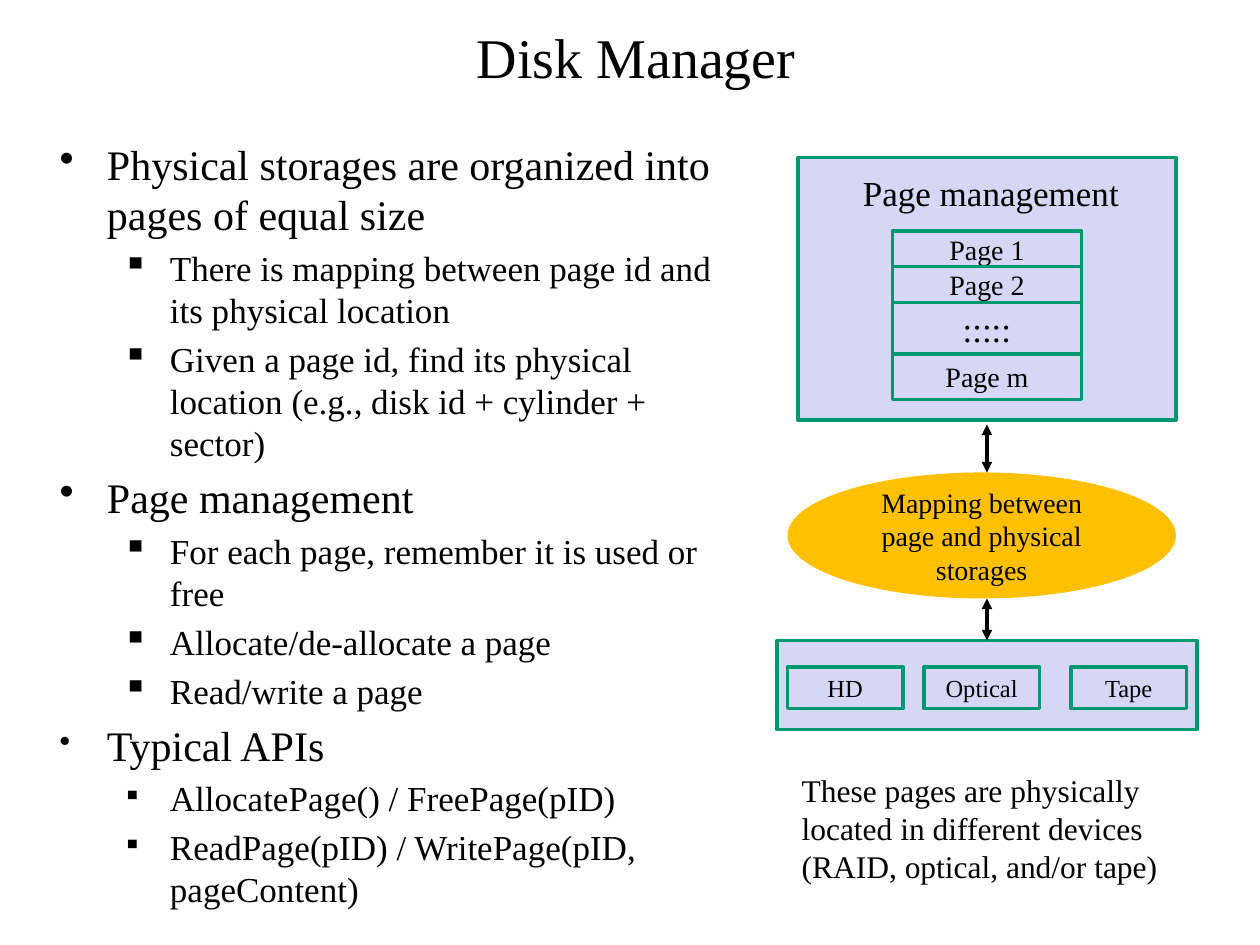
from lxml import etree
from pptx import Presentation
from pptx.dml.color import RGBColor
from pptx.enum.shapes import MSO_CONNECTOR, MSO_SHAPE
from pptx.enum.text import MSO_ANCHOR, MSO_AUTO_SIZE, PP_ALIGN
from pptx.oxml.ns import qn
from pptx.util import Pt

RECTANGLE, OVAL = MSO_SHAPE.RECTANGLE, MSO_SHAPE.OVAL
STRAIGHT = MSO_CONNECTOR.STRAIGHT
TOP, MIDDLE = MSO_ANCHOR.TOP, MSO_ANCHOR.MIDDLE
LEFT, CENTER = PP_ALIGN.LEFT, PP_ALIGN.CENTER
GROW = MSO_AUTO_SIZE.SHAPE_TO_FIT_TEXT

FONT = "Times New Roman"
COLORS = {"ink": "000000", "panel": "D6D6F5", "border": "009771", "mapping": "FFC000"}

OUTLINE = [
    (0, "Physical storages are organized into pages of equal size", 100),
    (1, "There is mapping between page id and its physical location", 100),
    (1, "Given a page id, find its physical location (e.g., disk id + cylinder + sector)", 100),
    (0, "Page management", 100),
    (1, "For each page, remember it is used or free", 100),
    (1, "Allocate/de-allocate a page", 100),
    (1, "Read/write a page", 100),
    (0, "Typical APIs", 75),
    (1, "AllocatePage() / FreePage(pID)", 75),
    (1, "ReadPage(pID) / WritePage(pID, pageContent)", 75),
]
LEVELS = [("•", 24, 27), ("▪", 20, 63)]
HANGING = 27
CAPTION = [
    "These pages are physically",
    "located in different devices",
    "(RAID, optical, and/or tape)",
]
PAGE_ROWS = [("Page 1", 20.4, 16), ("Page 2", 20.4, 16), (":::::", 29.5, 20), ("Page m", 26, 16)]
DEVICES = [("HD", 450), ("Optical", 528), ("Tape", 612)]


def color(name):
    return RGBColor.from_string(COLORS[name])


def add_paragraph(frame, text, size=16, align=LEFT, before=0):
    para = frame.paragraphs[0]
    if para.runs:
        para = frame.add_paragraph()
        para.space_before = Pt(before)
    para.alignment = align
    span = para.add_run()
    span.text = text
    span.font.name = FONT
    span.font.size = Pt(size)
    span.font.color.rgb = color("ink")
    return para


def set_bullet(para, symbol, indent, scale):
    properties = para._p.get_or_add_pPr()
    properties.set("marL", str(Pt(indent)))
    properties.set("indent", str(-Pt(HANGING)))
    if scale != 100:
        etree.SubElement(properties, qn("a:buSzPct"), val=str(scale * 1000))
    etree.SubElement(properties, qn("a:buChar"), char=symbol)


def add_text_box(page, left, top, width, height, anchor=TOP, wrap=True):
    box = page.shapes.add_textbox(Pt(left), Pt(top), Pt(width), Pt(height))
    frame = box.text_frame
    frame.word_wrap = wrap
    frame.vertical_anchor = anchor
    if not wrap:
        frame.auto_size = GROW
    return frame


def add_block(page, left, top, width, height, text="", size=16,
              kind=RECTANGLE, fill="panel", line="border"):
    block = page.shapes.add_shape(kind, Pt(left), Pt(top), Pt(width), Pt(height))
    block.shadow.inherit = False
    if fill:
        block.fill.solid()
        block.fill.fore_color.rgb = color(fill)
    else:
        block.fill.background()
    if line:
        block.line.color.rgb = color(line)
        block.line.width = Pt(2)
    else:
        block.line.fill.background()
    if text:
        frame = block.text_frame
        frame.word_wrap = True
        frame.vertical_anchor = MIDDLE
        add_paragraph(frame, text, size=size, align=CENTER)


def add_double_arrow(page, x, top, bottom):
    arrow = page.shapes.add_connector(STRAIGHT, Pt(x), Pt(top), Pt(x), Pt(bottom))
    arrow.line.color.rgb = color("ink")
    arrow.line.width = Pt(2)
    outline = arrow.line._get_or_add_ln()
    for end in ("a:headEnd", "a:tailEnd"):
        etree.SubElement(outline, qn(end), type="triangle")
    etree.SubElement(arrow._element.spPr, qn("a:effectLst"))


def add_outline(page):
    frame = add_text_box(page, 27, 75.6, 408, 437)
    for level, text, scale in OUTLINE:
        symbol, size, indent = LEVELS[level]
        para = add_paragraph(frame, text, size=size, before=size * 0.2)
        para.level = level
        set_bullet(para, symbol, indent, scale)


def add_diagram(page):
    add_block(page, 444, 366, 240, 51)
    add_block(page, 456, 90, 216, 150)
    top = 132
    for text, height, size in PAGE_ROWS:
        add_block(page, 510, top, 108, height, text, size=size, fill=None)
        top += height
    add_block(page, 450, 270, 222, 72, "Mapping between page and physical storages",
              kind=OVAL, fill="mapping", line=None)
    for text, left in DEVICES:
        add_block(page, left, 381, 66, 24, text, size=14)
    add_double_arrow(page, 564, 242.6, 270)
    add_double_arrow(page, 564, 342, 366)
    heading = add_text_box(page, 486, 94.4, 162, 31.5, wrap=False)
    add_paragraph(heading, "Page management", size=20)


def main():
    deck = Presentation()
    deck.slide_width, deck.slide_height = Pt(720), Pt(540)
    page = deck.slides.add_slide(deck.slide_layouts[6])
    title = add_text_box(page, 57.6, 8, 612, 48, anchor=MIDDLE)
    add_paragraph(title, "Disk Manager", size=32, align=CENTER)
    add_outline(page)
    caption = add_text_box(page, 451, 437, 220, 72.7, wrap=False)
    for text in CAPTION:
        add_paragraph(caption, text, size=18)
    add_diagram(page)
    deck.save("out.pptx")


if __name__ == "__main__":
    main()
